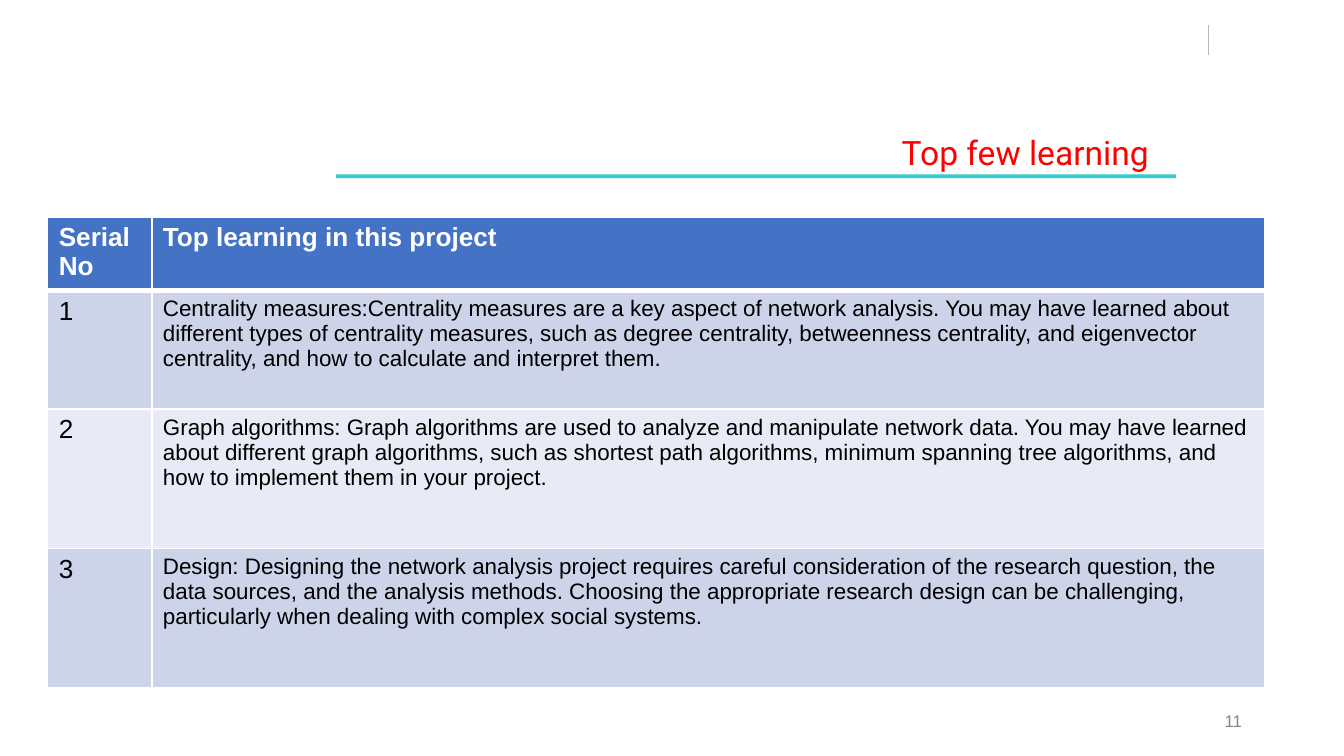
from lxml import etree
from pptx import Presentation
from pptx import util as u
from pptx.dml.color import RGBColor
from pptx.enum import shapes, text
from pptx.oxml import ns

Pt = u.Pt
COLORS = {"white": "FFFFFF", "black": "000000", "red": "FF0000", "teal": "33CCCC",
          "header": "4472C4", "odd": "CDD4EA", "even": "E8EBF5",
          "rule": "B7B7B7", "number": "888888"}
FORMATS = {"title": {"name": "Roboto", "size": Pt(18), "color": "red"},
           "header": {"name": "Arial", "size": Pt(14), "bold": True, "color": "white"},
           "serial": {"name": "Arial", "size": Pt(14), "bold": False, "color": "black"},
           "body": {"name": "Arial", "size": Pt(12), "bold": False, "color": "black"},
           "number": {"name": "Arial", "size": Pt(9), "color": "number"}}
LEARNINGS = [
    "Centrality measures:Centrality measures are a key aspect of network analysis. "
    "You may have learned about different types of centrality measures, such as degree "
    "centrality, betweenness centrality, and eigenvector centrality, and how to calculate "
    "and interpret them.",
    "Graph algorithms: Graph algorithms are used to analyze and manipulate network data. "
    "You may have learned about different graph algorithms, such as shortest path "
    "algorithms, minimum spanning tree algorithms, and how to implement them in your project.",
    "Design: Designing the network analysis project requires careful consideration of the "
    "research question, the data sources, and the analysis methods. Choosing the appropriate "
    "research design can be challenging, particularly when dealing with complex social systems."]


class Deck:
    """Holds the style and the current slide and draws each kind of element."""

    def __init__(self, s):
        self.s = s

    def color(self, name):
        return RGBColor.from_string(COLORS[name])

    def fill_text(self, tf, lines, fmt, align=None):
        for i, line in enumerate(lines):
            p = tf.paragraphs[0] if i == 0 else tf.add_paragraph()
            p.alignment = align
            r = p.add_run()
            r.text = line
            for key, value in FORMATS[fmt].items():
                if key == "color":
                    r.font.color.rgb = self.color(value)
                else:
                    setattr(r.font, key, value)

    def text(self, box, line, fmt, anchor, right):
        tf = self.s.shapes.add_textbox(*map(Pt, box)).text_frame
        values = {"word_wrap": True, "vertical_anchor": anchor, "margin_left": Pt(5),
                  "margin_right": Pt(right), "margin_top": Pt(3), "margin_bottom": Pt(3)}
        for key, value in values.items():
            setattr(tf, key, value)
        self.fill_text(tf, [line], fmt, text.PP_ALIGN.RIGHT)

    def bar(self, box, color):
        sp = self.s.shapes.add_shape(shapes.MSO_SHAPE.RECTANGLE, *map(Pt, box))
        sp.shadow.inherit = False
        sp.fill.solid()
        sp.fill.fore_color.rgb = self.color(color)
        sp.line.fill.background()

    def line(self, ends, color, width):
        c = self.s.shapes.add_connector(shapes.MSO_CONNECTOR.STRAIGHT, *map(Pt, ends))
        c.line.color.rgb = self.color(color)
        c.line.width = Pt(width)
        etree.SubElement(c._element.spPr, ns.qn("a:effectLst"))

    def borders(self, cell, color, widths):
        tc_pr = cell._tc.get_or_add_tcPr()
        for side, width in widths.items():
            ln = etree.SubElement(tc_pr, ns.qn("a:ln" + side), w=str(Pt(width)))
            fill = etree.SubElement(ln, ns.qn("a:solidFill"))
            etree.SubElement(fill, ns.qn("a:srgbClr"), val=COLORS[color])

    def table(self, left, top, cols, heights, rows):
        frame = self.s.shapes.add_table(len(rows), len(cols), Pt(left), Pt(top),
                                        Pt(sum(cols)), Pt(sum(heights)))
        tbl = frame.table
        for col, width in zip(tbl.columns, cols):
            col.width = Pt(width)
        for i, (height, cells) in enumerate(zip(heights, rows)):
            tbl.rows[i].height = Pt(height)
            fill = "header" if i == 0 else "odd" if i % 2 else "even"
            for j, lines in enumerate(cells):
                cell = tbl.cell(i, j)
                cell.margin_left = cell.margin_right = Pt(6)
                cell.margin_top = cell.margin_bottom = Pt(3)
                self.borders(cell, "white", {"L": 1, "R": 1, "T": 3 if i == 1 else 1,
                                             "B": 3 if i == 0 else 1})
                cell.fill.solid()
                cell.fill.fore_color.rgb = self.color(fill)
                self.fill_text(cell.text_frame, lines,
                               "header" if i == 0 else "body" if j else "serial")


prs = Presentation()
prs.slide_width, prs.slide_height = Pt(720), Pt(405)
deck = Deck(prs.slides.add_slide(prs.slide_layouts[6]))

deck.line((647.5, 13.5, 647.5, 29.5), "rule", 0.75)
deck.bar((180, 93.4, 450, 2), "teal")
deck.text((171, 67.7, 459.5, 27.4), "Top few learning", "title", text.MSO_ANCHOR.TOP, 15)
rows = [[["Serial ", "No "], ["Top learning in this project "]]]
rows += [[[str(n)], [line]] for n, line in enumerate(LEARNINGS, 1)]
deck.table(25.5, 116.2, (55.8, 596.5), (36.4, 63.4, 74.8, 74.8), rows)
deck.text((508.3, 375.4, 162, 21.6), "11", "number", text.MSO_ANCHOR.MIDDLE, 5)

prs.save("out.pptx")
